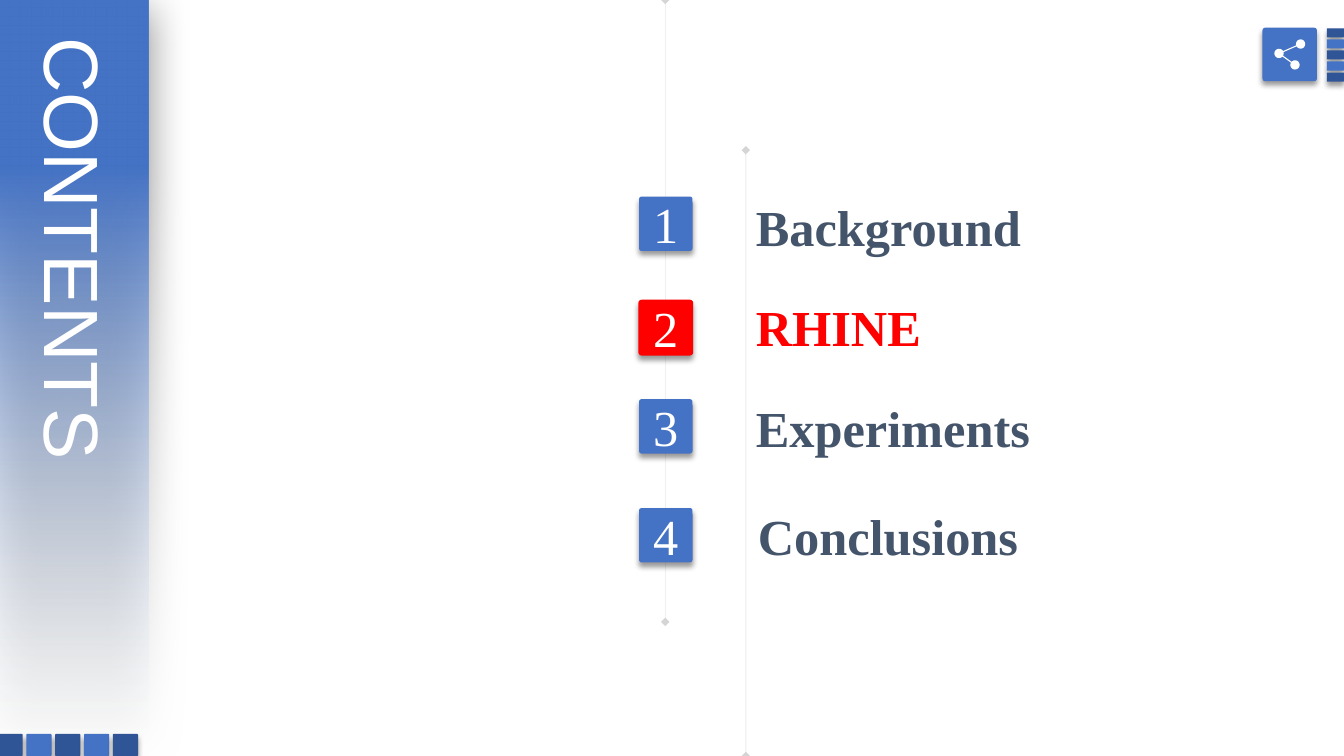
import math
from dataclasses import dataclass

import pptx
import pptx.dml.color
import pptx.enum.shapes
import pptx.enum.text
import pptx.oxml
import pptx.oxml.ns
import pptx.util

Pt = pptx.util.Pt
qn = pptx.oxml.ns.qn
SHAPE = pptx.enum.shapes.MSO_SHAPE
ALIGN = pptx.enum.text.PP_ALIGN
ANCHOR = pptx.enum.text.MSO_ANCHOR


@dataclass(frozen=True)
class Theme:
    blue: str = "4472C4"
    navy: str = "2F5597"
    pale: str = "F7FAFD"
    slate: str = "44546A"
    red: str = "FF0000"
    grey: str = "808080"
    white: str = "FFFFFF"
    title_font: str = "Arial"
    body_font: str = "Times New Roman"
    title_size: float = 55
    body_size: float = 36


T = Theme()

# Number, wording, tile top, label left, label top, label width, current
CHAPTERS = [
    ("1", "Background", 140.4, 532.8, 136.8, 205.9, False),
    ("2", "RHINE", 214.6, 532.8, 208.1, 133.9, True),
    ("3", "Experiments", 285.1, 532.8, 280.1, 212.4, False),
    ("4", "Conclusions", 362.9, 534.2, 357.1, 202.3, False),
]


def rgb(color):
    return pptx.dml.color.RGBColor.from_string(color)


def sub(parent, tag, **attrs):
    el = pptx.oxml.parse_xml(f"<{tag} {pptx.oxml.ns.nsdecls('a')}/>")
    for name, value in attrs.items():
        el.set(name, str(value))
    parent.append(el)
    return el


def add_shadow(sp, opacity, blur, dist, angle):
    sp.shadow.inherit = False
    effects = sp._element.spPr.find(qn("a:effectLst"))
    shadow = sub(effects, "a:outerShdw", blurRad=Pt(blur), dist=Pt(dist),
                 dir=angle * 60000, algn="t", rotWithShape=0)
    sub(sub(shadow, "a:srgbClr", val="000000"), "a:alpha", val=opacity * 1000)


def add_run(tf, text, font, size, color, bold=False):
    p = tf.paragraphs[0]
    r = p.add_run()
    r.text = text
    r.font.name = font
    r.font.size = Pt(size)
    r.font.bold = bold
    r.font.color.rgb = rgb(color)
    return p


def add_tile(s, x, y, w, h, color):
    sp = s.shapes.add_shape(SHAPE.ROUNDED_RECTANGLE, Pt(x), Pt(y), Pt(w), Pt(h))
    sp.adjustments[0] = 0.05
    sp.fill.solid()
    sp.fill.fore_color.rgb = rgb(color)
    sp.line.fill.background()
    add_shadow(sp, 40, 4, 3, 90)
    return sp


def add_tile_strip(s, x, y, w, h, dx, dy):
    for i in range(5):
        add_tile(s, x + i * dx, y + i * dy, w, h, (T.navy, T.blue)[i % 2])


def add_number(s, text, y, current):
    sp = add_tile(s, 456.5, y, 38.2, 38.9, T.red if current else T.blue)
    if current:
        sp.line.color.rgb = rgb(T.red)
        sp.line.width = Pt(1)
    tf = sp.text_frame
    tf.vertical_anchor = ANCHOR.MIDDLE
    p = add_run(tf, text, T.body_font, T.body_size, T.white)
    p.alignment = ALIGN.CENTER


def add_label(s, text, x, y, w, current):
    tf = s.shapes.add_textbox(Pt(x), Pt(y), Pt(w), Pt(51.1)).text_frame
    tf.word_wrap = False
    add_run(tf, text, T.body_font, T.body_size,
            T.red if current else T.slate, bold=True)


def add_rail(s, x, top, bottom):
    line = s.shapes.add_connector(pptx.enum.shapes.MSO_CONNECTOR.STRAIGHT,
                                  Pt(x), Pt(top), Pt(x), Pt(bottom))
    line.line.color.rgb = rgb(T.grey)
    line.line.width = Pt(0.25)
    spPr = line._element.spPr
    ln = spPr.find(qn("a:ln"))
    sub(ln.find(".//" + qn("a:srgbClr")), "a:alpha", val=33000)
    sub(ln, "a:headEnd", type="diamond")
    sub(ln, "a:tailEnd", type="diamond")
    sub(spPr, "a:effectLst")


def add_side_panel(s):
    sp = s.shapes.add_shape(SHAPE.RECTANGLE, Pt(0), Pt(0), Pt(105.8), Pt(536.8))
    sp.fill.gradient()
    sp.fill.gradient_angle = 270
    for stop, position, color in zip(sp.fill.gradient_stops, (0.22, 1),
                                     (T.blue, T.pale)):
        stop.position = position
        stop.color.rgb = rgb(color)
    pale_stop = sp._element.spPr.findall(".//" + qn("a:gs"))[1]
    sub(pale_stop.find(qn("a:srgbClr")), "a:alpha", val=0)
    sp.line.fill.background()
    add_shadow(sp, 50, 31, 6, 97)


def add_panel_title(s):
    tf = s.shapes.add_textbox(Pt(8.6), Pt(19.4), Pt(81.4), Pt(355.7)).text_frame
    tf.word_wrap = True
    tf._txBody.bodyPr.set("vert", "eaVert")
    add_run(tf, "CONTENTS", T.title_font, T.title_size, T.white)


def add_share_icon(s):
    hub, upper, lower = (913.6, 38.2), (929, 31.5), (925, 46.4)
    radius, gap, steps = 3.3, 0.12, 24
    to_upper, to_lower = (math.atan2(node[1] - hub[1], node[0] - hub[0])
                          for node in (upper, lower))
    turn = 2 * math.pi
    # Clockwise arcs; the jumps between them form the two links
    arcs = [
        (upper, to_upper - math.pi + gap, to_upper + math.pi - gap),
        (hub, to_upper + gap, to_lower - gap),
        (lower, to_lower - math.pi + gap, to_lower + math.pi - gap),
        (hub, to_lower + gap, to_upper + turn - gap),
    ]
    points = []
    for (cx, cy), start, end in arcs:
        for i in range(steps + 1):
            a = start + (end - start) * i / steps
            points.append((Pt(cx + radius * math.cos(a)),
                           Pt(cy + radius * math.sin(a))))
    builder = s.shapes.build_freeform(*points[0])
    builder.add_line_segments(points[1:], close=True)
    sp = builder.convert_to_shape()
    sp.fill.solid()
    sp.fill.fore_color.rgb = rgb(T.white)
    sp.line.fill.background()
    sp.shadow.inherit = False


def main():
    prs = pptx.Presentation()
    prs.slide_width, prs.slide_height = Pt(960), Pt(540)
    s = prs.slides.add_slide(prs.slide_layouts[6])

    # Vertical rails
    add_rail(s, 532.8, 107.3, 540)
    add_rail(s, 475.2, 0, 444.2)

    # Side panel with title and bottom tiles
    add_side_panel(s)
    add_tile_strip(s, -1.8, 524.2, 18, 15.8, 20.6, 0)
    add_panel_title(s)

    # Share badge and edge tiles
    add_tile_strip(s, 947.8, 20.2, 12.2, 6.5, 0, 7.9)
    add_tile(s, 901.8, 19.8, 38.9, 38.2, T.blue)
    add_share_icon(s)

    # Chapter list
    for number, text, tile_y, x, y, w, current in CHAPTERS:
        add_number(s, number, tile_y, current)
        add_label(s, text, x, y, w, current)

    prs.save("out.pptx")


if __name__ == "__main__":
    main()
